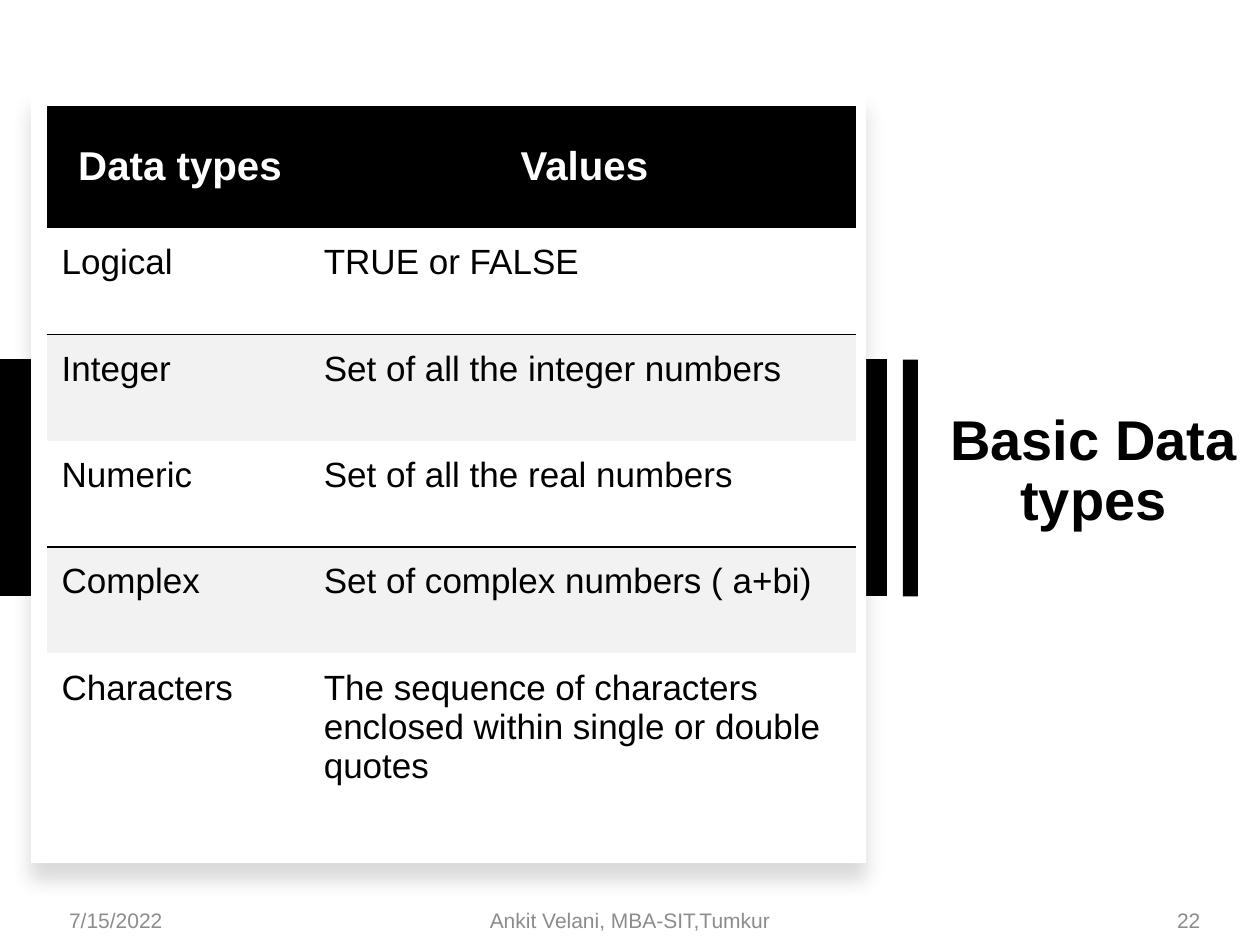
"""Build the slide on basic data types: a table on a card, a title and a footer."""
from lxml.etree import SubElement
from pptx import Presentation
from pptx.dml.color import RGBColor
from pptx.enum.shapes import MSO_SHAPE
from pptx.enum.text import MSO_ANCHOR, PP_ALIGN
from pptx.oxml import parse_xml
from pptx.oxml.ns import qn
from pptx.util import Inches, Pt

hue = RGBColor.from_string
BLACK, WHITE, PALE, GREY = "000000", "FFFFFF", "F2F2F2", "8C8C8C"
NS = 'xmlns:a="http://schemas.openxmlformats.org/drawingml/2006/main"'

deck = Presentation()
deck.slide_width, deck.slide_height = Inches(10), Inches(7.5)
wide, high = deck.slide_width / 100, deck.slide_height / 100
slide = deck.slides.add_slide(deck.slide_layouts[6])
shapes = slide.shapes


def area(left, top, width, height):
    """Turn percents of the slide into lengths."""
    return [round(n) for n in (left * wide, top * high, width * wide, height * high)]


def write(frame, text, size, color, bold=False, align=PP_ALIGN.LEFT):
    """Set the text of a frame and format it."""
    frame.text = text
    frame.word_wrap = True
    line = frame.paragraphs[0]
    line.alignment = align
    font = line.runs[0].font
    font.name, font.size, font.bold = "Arial", Pt(size), bold
    font.color.rgb = hue(color)
    return line


bars = [
    (BLACK, (0, 38, 70.4, 25.07)),
    (WHITE, (2.46, 9.73, 66.28, 81.6)),
    (BLACK, (71.65, 38.05, 1.2, 25.07)),
]
for color, place in bars:
    bar = shapes.add_shape(MSO_SHAPE.RECTANGLE, *area(*place))
    bar.shadow.inherit = False
    bar.fill.solid()
    bar.fill.fore_color.rgb = hue(color)
    bar.line.fill.background()
    if color == WHITE:
        glow = bar._element.spPr.find(qn("a:effectLst"))
        glow.append(parse_xml(
            f'<a:outerShdw {NS} blurRad="{Pt(11)}" dist="{Pt(10)}" dir="5400000" rotWithShape="0">'
            f'<a:srgbClr val="{BLACK}"><a:alpha val="15000"/></a:srgbClr></a:outerShdw>'))

title = shapes.add_textbox(*area(73.58, 29.25, 26.42, 41.47))
title.text_frame.vertical_anchor = MSO_ANCHOR.MIDDLE
write(title.text_frame, "Basic Data types", 32, BLACK, True, PP_ALIGN.CENTER).line_spacing = 0.9

notes = [
    ("7/15/2022", 4.5, 24.9, PP_ALIGN.LEFT),
    ("Ankit Velani, MBA-SIT,Tumkur", 33.1, 33.8, PP_ALIGN.CENTER),
    ("22", 70.6, 25.65, PP_ALIGN.RIGHT),
]
for text, left, width, align in notes:
    note = shapes.add_textbox(*area(left, 94.67, width, 5.33))
    note.text_frame.vertical_anchor = MSO_ANCHOR.MIDDLE
    write(note.text_frame, text, 12, GREY, align=align).space_after = Pt(6)

rows = [
    ("Data types", "Values"),
    ("Logical", "TRUE or FALSE"),
    ("Integer", "Set of all the integer numbers"),
    ("Numeric", "Set of all the real numbers"),
    ("Complex", "Set of complex numbers ( a+bi)"),
    ("Characters", "The sequence of characters enclosed within single or double quotes"),
]
tall = [12.93] + [11.25] * 4 + [22.2]
spans = [20.8, 43.4]
table = shapes.add_table(len(rows), len(spans), *area(3.7, 11.2, sum(spans), sum(tall))).table
table.horz_banding = False
style = table._tbl.tblPr.find(qn("a:tableStyleId"))
style.text = "{2D5ABB26-0587-4C30-8999-92F81FD0307C}"
for col, span in zip(table.columns, spans):
    col.width = round(span * wide)

for r, (texts, share) in enumerate(zip(rows, tall)):
    table.rows[r].height = round(share * high)
    head, even = r == 0, r in (2, 4)
    ruled = {"a:lnT": even, "a:lnB": r in (1, 3)}
    for cell, text in zip(table.rows[r].cells, texts):
        cell.margin_left, cell.margin_right = Inches(0.12), Inches(0.08)
        cell.margin_top, cell.margin_bottom = Inches(0.16 if head else 0.12), Inches(0.16)
        if head:
            cell.vertical_anchor = MSO_ANCHOR.MIDDLE
            write(cell.text_frame, text, 23, WHITE, True, PP_ALIGN.CENTER)
        else:
            write(cell.text_frame, text, 20, BLACK)
        for side, drawn in ruled.items():
            edge = SubElement(cell._tc.get_or_add_tcPr(), qn(side), w=str(Pt(1)))
            if drawn:
                SubElement(SubElement(edge, qn("a:solidFill")), qn("a:srgbClr"), val=BLACK)
            else:
                SubElement(edge, qn("a:noFill"))
        if head or even:
            cell.fill.solid()
            cell.fill.fore_color.rgb = hue(BLACK if head else PALE)
        else:
            cell.fill.background()

deck.save("out.pptx")
